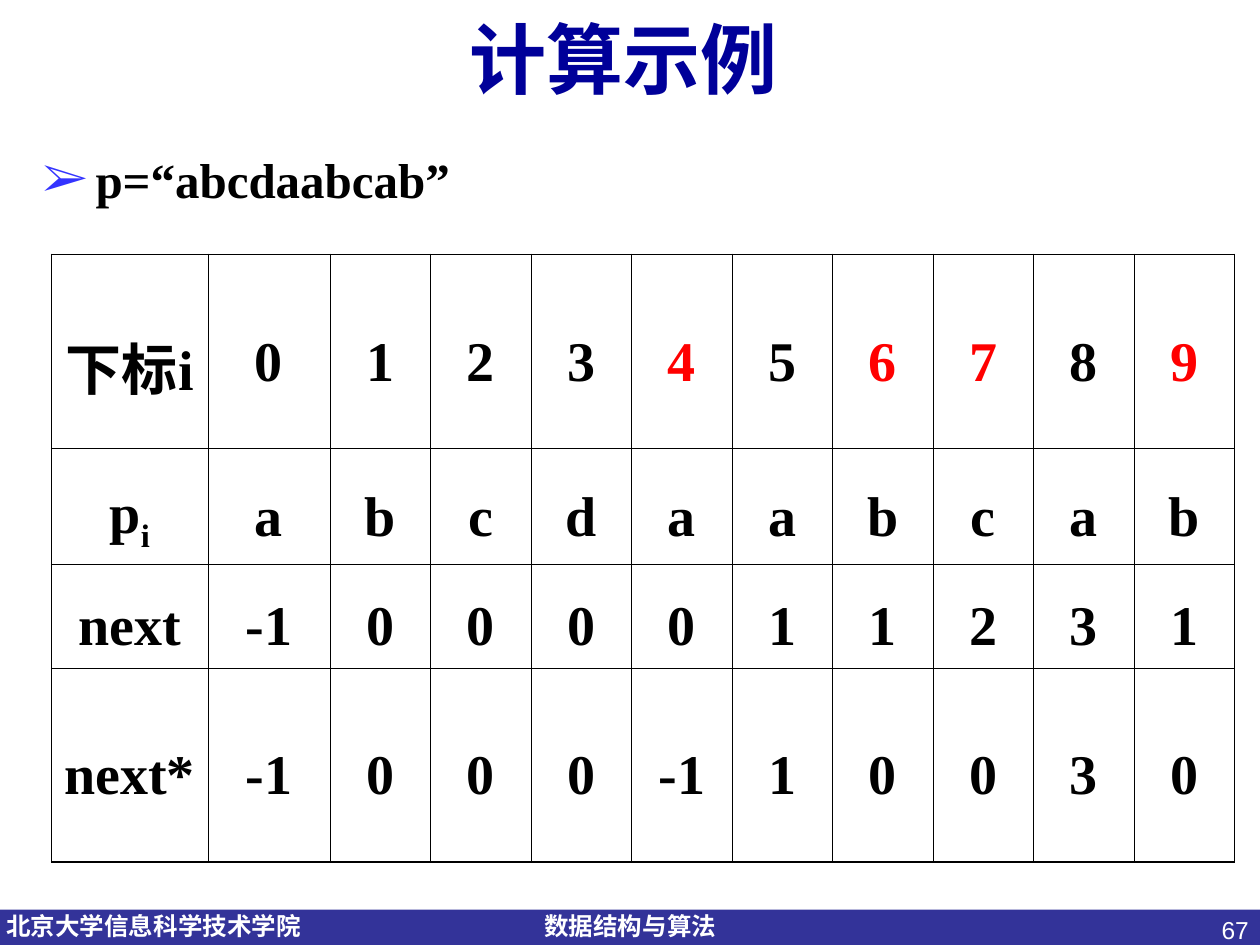
from lxml.etree import SubElement
from pptx import Presentation
from pptx.dml.color import RGBColor
from pptx.enum.shapes import MSO_SHAPE as Shape
from pptx.enum.text import MSO_ANCHOR as Anchor, PP_ALIGN as Align
from pptx.oxml.ns import qn
from pptx.util import Inches, Pt

WIDTH, HEIGHT = 10, 7.5
COLUMNS, ROWS = 100, 75
SERIF, SANS, CHINESE = "Times New Roman", "Arial", "Noto Sans CJK SC"
BLACK, WHITE, RED, BAR, NAVY, BLUE = (
    "000000", "FFFFFF", "FF0000", "333399", "000099", "3333FF")
THIN, THICK = 0.45, 1.08

TABLE_ROWS = [
    ["下标i", *"0123456789"],
    ["p", *"abcdaabcab"],
    ["next", "-1", *"000011231"],
    ["next*", "-1", "0", "0", "0", "-1", *"10030"],
]
ROW_HEIGHTS = [15.4, 9.2, 8.2, 15.4]
LABEL_COLUMN, FIRST_COLUMN = 12.4, 9.7
MARKED_INDEXES = {"4", "6", "7", "9"}


def colour(value):
    return RGBColor.from_string(value)


def across(columns):
    return Inches(columns * WIDTH / COLUMNS)


def down(rows):
    return Inches(rows * HEIGHT / ROWS)


def place(left, top, width, height):
    """Turn grid columns and rows into a shape's position and size."""
    return across(left), down(top), across(width), down(height)


def add_text(para, text, size=32, font=SERIF, ink=BLACK, bold=True,
             align=Align.LEFT, spacing=None, baseline=None):
    para.alignment = align
    if spacing:
        para.line_spacing = spacing
    span = para.add_run()
    span.text = text
    span.font.size, span.font.bold, span.font.name = Pt(size), bold, font
    span.font.color.rgb = colour(ink)
    properties = span._r.get_or_add_rPr()
    SubElement(properties, qn("a:ea")).set("typeface", CHINESE)
    if baseline:
        properties.set("baseline", str(baseline * 1000))


def add_box(page, area, text, wrap=True, left_inset=0.1, right_inset=0.1,
            anchor=Anchor.TOP, **style):
    frame = page.shapes.add_textbox(*place(*area)).text_frame
    frame.word_wrap, frame.vertical_anchor = wrap, anchor
    frame.margin_left, frame.margin_right = Inches(left_inset), Inches(right_inset)
    add_text(frame.paragraphs[0], text, **style)
    return frame.paragraphs[0]


def add_bullet(para, symbol, ink, indent):
    properties = para._p.get_or_add_pPr()
    properties.set("marL", str(indent))
    properties.set("indent", str(-indent))
    tint = SubElement(properties, qn("a:buClr"))
    SubElement(tint, qn("a:srgbClr")).set("val", ink)
    SubElement(properties, qn("a:buFont")).set("typeface", SERIF)
    SubElement(properties, qn("a:buChar")).set("char", symbol)


def add_footer(page):
    bar = page.shapes.add_shape(Shape.RECTANGLE, *place(0, 72.2, COLUMNS, 2.8))
    bar.shadow.inherit = False
    bar.fill.solid()
    bar.fill.fore_color.rgb = colour(BAR)
    bar.line.fill.background()
    style = dict(size=14, font=SANS, ink=WHITE)
    for left, width, text in [(0.5, 24.8, "北京大学信息科学技术学院"),
                              (43.2, 15.2, "数据结构与算法")]:
        add_box(page, (left, 71.8, width, 3.4), text,
                left_inset=0, right_inset=0, wrap=False, **style)
    add_box(page, (76.8, 72.1, 23.3, 5.2), "67", bold=False,
            align=Align.RIGHT, **style)


def set_borders(cell, **widths):
    for side, width in widths.items():
        edge = SubElement(cell._tc.get_or_add_tcPr(), qn(f"a:ln{side}"))
        edge.set("w", str(Pt(width)))
        fill = SubElement(edge, qn("a:solidFill"))
        SubElement(fill, qn("a:srgbClr")).set("val", BLACK)


def add_next_table(page):
    area = left, top, width, height = 4.1, 20.2, 93.9, sum(ROW_HEIGHTS)
    last_row, last_column = len(TABLE_ROWS) - 1, len(TABLE_ROWS[0]) - 1
    table = page.shapes.add_table(
        last_row + 1, last_column + 1, *place(*area)).table
    table.first_row = table.horz_banding = False

    rest = (width - LABEL_COLUMN - FIRST_COLUMN) / (last_column - 1)
    widths = [LABEL_COLUMN, FIRST_COLUMN] + [rest] * (last_column - 1)
    for column, share in zip(table.columns, widths):
        column.width = across(share)

    style = dict(align=Align.CENTER, spacing=1.35)
    for r, texts in enumerate(TABLE_ROWS):
        table.rows[r].height = down(ROW_HEIGHTS[r])
        for c, text in enumerate(texts):
            cell = table.cell(r, c)
            cell.vertical_anchor = Anchor.MIDDLE
            set_borders(cell,
                        L=THICK if c == 0 else THIN,
                        R=THICK if c == last_column else THIN,
                        T=THICK if r == 0 else THIN,
                        B=THICK if r == last_row else THIN)
            cell.fill.background()
            marked = r == 0 and text in MARKED_INDEXES
            add_text(cell.text_frame.paragraphs[0], text,
                     ink=RED if marked else BLACK, **style)
    add_text(table.cell(1, 0).text_frame.paragraphs[0], "i",
             baseline=-25, **style)


def main():
    deck = Presentation()
    deck.slide_width, deck.slide_height = Inches(WIDTH), Inches(HEIGHT)
    page = deck.slides.add_slide(deck.slide_layouts[6])
    add_footer(page)
    add_box(page, (0, 0, COLUMNS, 9.1), "计算示例", left_inset=0.2,
            right_inset=0.3, anchor=Anchor.MIDDLE, size=44, font=CHINESE,
            ink=NAVY, align=Align.CENTER)
    pattern = add_box(page, (2.4, 11.4, 48, 5.7), "p=“abcdaabcab”", size=28)
    add_bullet(pattern, "➢", BLUE, across(4.2))
    add_next_table(page)
    deck.save("out.pptx")


if __name__ == "__main__":
    main()
